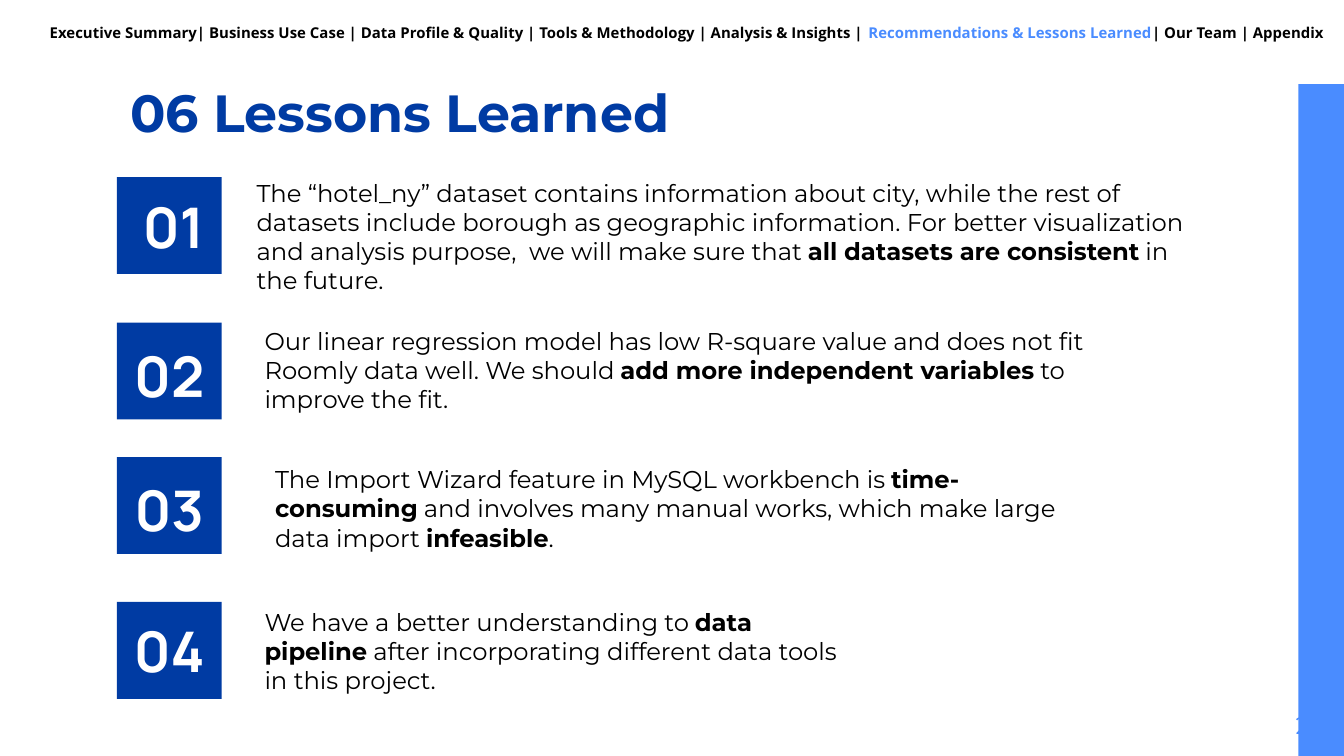
from dataclasses import dataclass

from pptx import Presentation
from pptx.dml.color import RGBColor
from pptx.enum import shapes, text
from pptx.util import Cm, Pt

TITLE = "06 Lessons Learned"
PAGE_NUMBER = "24"

# Runs are (wording, emphasised) pairs.
NAVIGATION = [
    ("Executive Summary| Business Use Case | Data Profile & Quality | "
     "Tools & Methodology | Analysis & Insights | ", False),
    ("Recommendations & Lessons Learned", True),
    ("| Our Team | Appendix", False),
]

# Boxes are left, top, width, height in centimetres.
LESSONS = [
    {"tile_top": 3.35, "number_at": (1.3, 3.28), "box": (4.6, 3.12, 18.47, 2.74),
     "runs": [("The “hotel_ny” dataset contains information about city, while the "
               "rest of datasets include borough as geographic information. For "
               "better visualization and analysis purpose,  we will make sure that ", False),
              ("all datasets are consistent", True),
              (" in the future.", False)]},
    {"tile_top": 6.1, "number_at": (1.22, 6.1), "box": (4.75, 5.92, 16.64, 2.18),
     "runs": [("Our linear regression model has low R-square value and does not fit "
               "Roomly data well. We should ", False),
              ("add more independent variables", True),
              (" to improve the fit.", False)]},
    {"tile_top": 8.64, "number_at": (1.22, 8.64), "box": (4.95, 8.53, 15.9, 2.18),
     "runs": [("The Import Wizard feature in MySQL workbench is ", False),
              ("time-consuming", True),
              (" and involves many manual works, which make large data import ", False),
              ("infeasible", True),
              (".", False)]},
    {"tile_top": 11.38, "number_at": (1.22, 11.3), "box": (4.75, 11.23, 11.51, 2.18),
     "runs": [("We have a better understanding to ", False),
              ("data pipeline", True),
              (" after incorporating different data tools in this project.", False)]},
]

TILE_LEFT, TILE_SIZE = 2.21, (1.98, 1.83)
NUMBER_SIZE = (3.96, 1.98)


@dataclass(frozen=True)
class Theme:
    navy = RGBColor(0x00, 0x3B, 0xA3)
    sky = RGBColor(0x4A, 0x8C, 0xFF)
    black = RGBColor(0, 0, 0)
    white = RGBColor(0xFF, 0xFF, 0xFF)
    text_font = "Montserrat"
    number_font = "Manrope"
    navigation_font = "Open Sans"
    title_size = Pt(28)
    number_size = Pt(30)
    body_size = Pt(13)
    navigation_size = Pt(8)


THEME = Theme()


def add_block(slide, box, color):
    shape = slide.shapes.add_shape(shapes.MSO_SHAPE.RECTANGLE, *map(Cm, box))
    shape.shadow.inherit = False
    shape.fill.solid()
    shape.fill.fore_color.rgb = color
    shape.line.fill.background()


def format_frame(frame, font, size, color, bold=None,
                 align=text.PP_ALIGN.LEFT, anchor=text.MSO_ANCHOR.TOP):
    """Set the frame's insets and the look of its only paragraph, and return it."""
    frame.word_wrap = True
    frame.auto_size = text.MSO_AUTO_SIZE.NONE
    frame.vertical_anchor = anchor
    frame.margin_left = frame.margin_right = Cm(0.25)
    frame.margin_top = frame.margin_bottom = Cm(0.25)
    paragraph = frame.paragraphs[0]
    paragraph.alignment = align
    paragraph.font.name, paragraph.font.size = font, size
    paragraph.font.color.rgb = color
    paragraph.font.bold = bold
    return paragraph


def add_text(slide, box, runs, *style, **options):
    """Add a text box and return its runs paired with their emphasis."""
    frame = slide.shapes.add_textbox(*map(Cm, box)).text_frame
    paragraph = format_frame(frame, *style, **options)
    pairs = []
    for wording, emphasised in runs:
        run = paragraph.add_run()
        run.text = wording
        pairs.append((run, emphasised))
    return pairs


def add_title(slide):
    title = slide.shapes.title
    title.left, title.top, title.width, title.height = map(Cm, (2.21, 1.27, 21.41, 1.8))
    title.text_frame.text = TITLE
    format_frame(title.text_frame, THEME.text_font, THEME.title_size, THEME.navy, True)


def add_navigation(slide):
    pairs = add_text(slide, (0.69, 0.2, 25.4, 0.86), NAVIGATION, THEME.navigation_font,
                     THEME.navigation_size, THEME.black, True)
    for run, current in pairs:
        if current:
            run.font.color.rgb = THEME.sky


def add_lesson(slide, number, lesson):
    add_block(slide, (TILE_LEFT, lesson["tile_top"], *TILE_SIZE), THEME.navy)
    add_text(slide, (*lesson["number_at"], *NUMBER_SIZE), [(f"{number:02}", False)],
             THEME.number_font, THEME.number_size, THEME.white, True,
             align=text.PP_ALIGN.CENTER, anchor=text.MSO_ANCHOR.MIDDLE)
    pairs = add_text(slide, lesson["box"], lesson["runs"],
                     THEME.text_font, THEME.body_size, THEME.black)
    for run, emphasised in pairs:
        if emphasised:
            run.font.bold = True


def main():
    presentation = Presentation()
    presentation.slide_width, presentation.slide_height = Cm(25.4), Cm(14.29)
    slide = presentation.slides.add_slide(presentation.slide_layouts.get_by_name("Title Only"))

    add_block(slide, (24.54, 1.59, 0.86, 12.7), THEME.sky)
    add_title(slide)
    add_text(slide, (23.77, 13.18, 1.52, 1.09), [(PAGE_NUMBER, False)], THEME.text_font,
             THEME.body_size, THEME.sky, align=text.PP_ALIGN.RIGHT)
    add_navigation(slide)
    for number, lesson in enumerate(LESSONS, start=1):
        add_lesson(slide, number, lesson)

    presentation.save("out.pptx")


if __name__ == "__main__":
    main()
